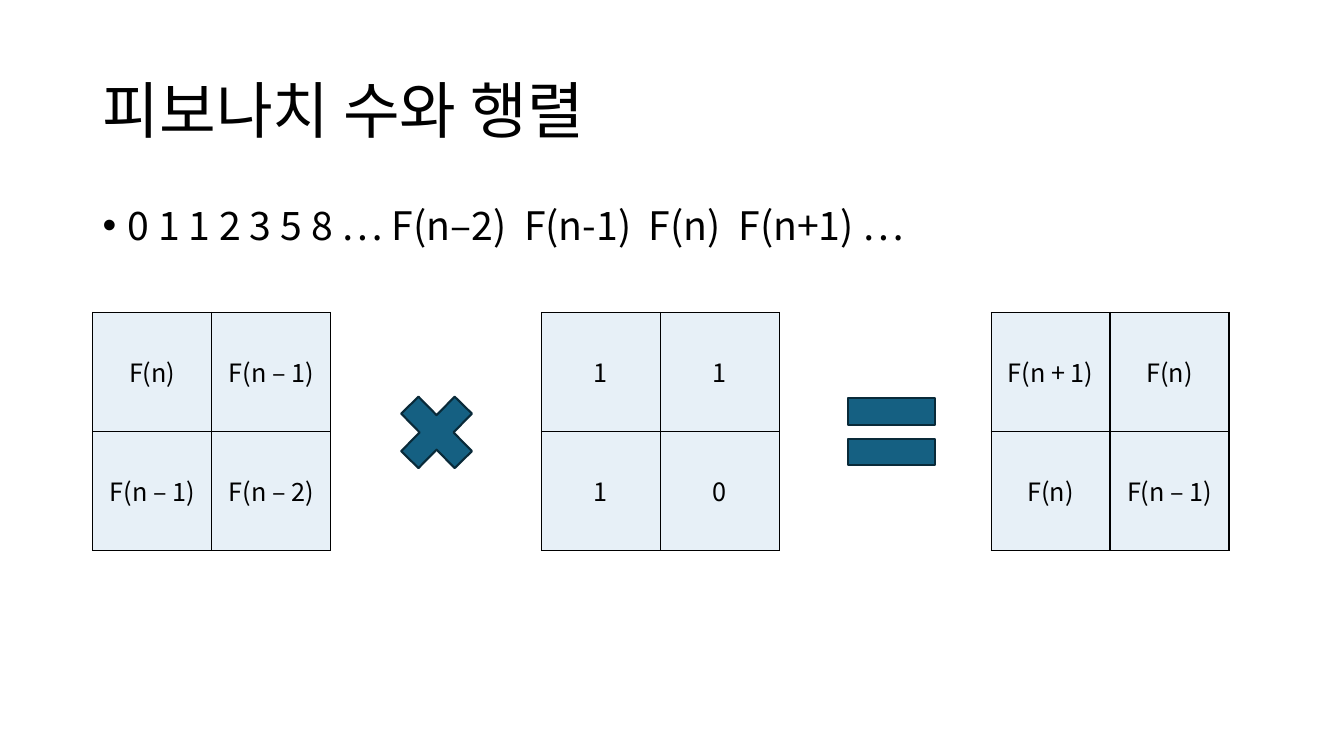
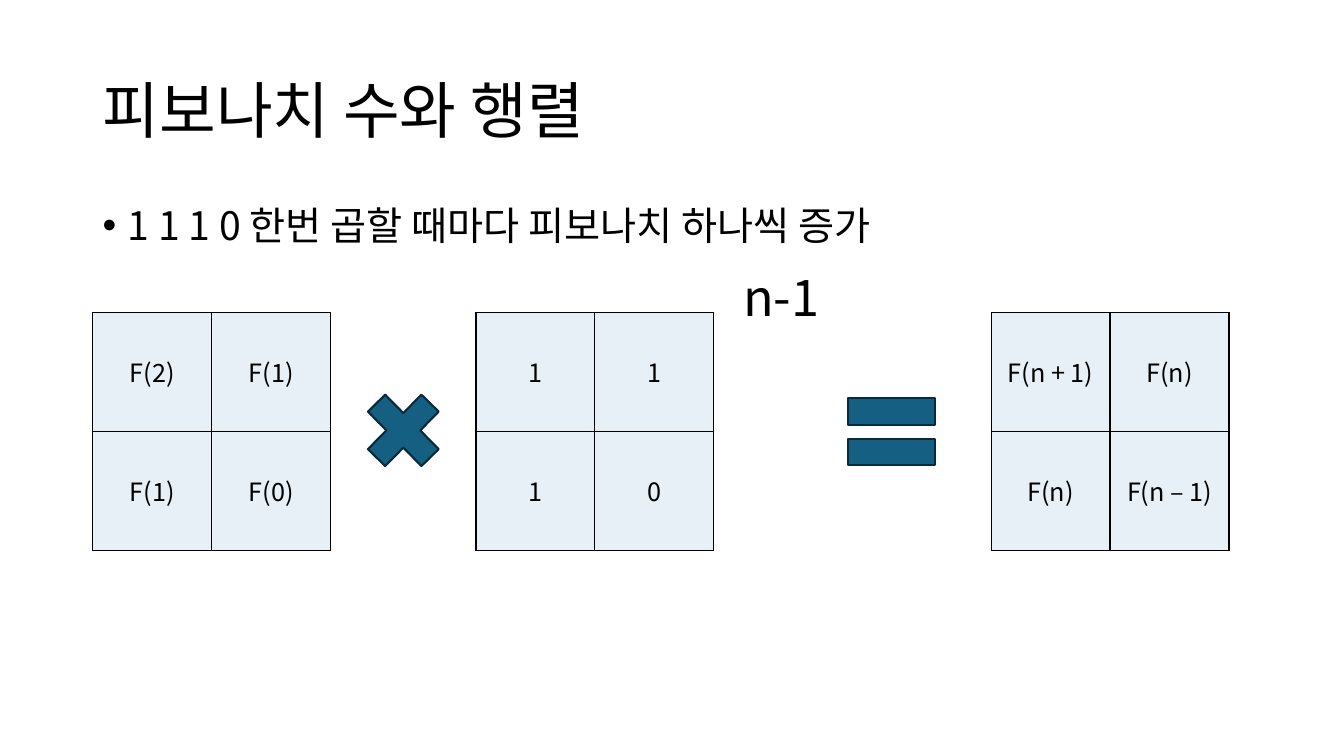
import pptx
import pptx.util
import pptx.dml.color
import pptx.enum.shapes
import pptx.enum.text
import pptx.oxml.ns
import lxml.etree
from dataclasses import dataclass

PX = 9144
SHAPE = pptx.enum.shapes.MSO_SHAPE
ANCHOR = pptx.enum.text.MSO_ANCHOR
ALIGN = pptx.enum.text.PP_ALIGN


@dataclass(frozen=True)
class Theme:
    font: str = "Noto Sans CJK KR"
    text: str = "000000"
    border: str = "000000"
    cell: str = "E7F0F7"
    operator: str = "156082"
    operator_line: str = "092A39"
    title_size: int = 44
    power_size: int = 36
    body_size: int = 28
    cell_size: int = 18


THEME = Theme()
TITLE = "피보나치 수와 행렬"
LEFT, CONTENT_W = 92, 1150
MATRIX_Y, CELL = 310, 118
RESULT_X = 983
Q = [["1", "1"], ["1", "0"]]
RESULT = [["F(n + 1)", "F(n)"], ["F(n)", "F(n – 1)"]]


def px(*lengths):
    return [pptx.util.Emu(n * PX) for n in lengths]


def rgb(color):
    return pptx.dml.color.RGBColor.from_string(color)


def sub(parent, tag, **attrs):
    return lxml.etree.SubElement(parent, pptx.oxml.ns.qn(tag), attrs)


def add_run(p, text, size):
    r = p.add_run()
    r.text = text
    r.font.name = THEME.font
    r.font.size = pptx.util.Pt(size)
    r.font.color.rgb = rgb(THEME.text)
    sub(r.font._element, "a:ea", typeface=THEME.font)


def add_text(s, box, text, size, anchor=ANCHOR.TOP):
    sp = s.shapes.add_textbox(*px(*box))
    tf = sp.text_frame
    tf.word_wrap = True
    tf.vertical_anchor = anchor
    p = tf.paragraphs[0]
    add_run(p, text, size)
    return tf, p


def add_title(s, text):
    tf, p = add_text(s, (LEFT, 40, CONTENT_W, 145), text, THEME.title_size, ANCHOR.MIDDLE)
    p.line_spacing = 0.9


def add_bullet(s, text):
    tf, p = add_text(s, (LEFT, 200, CONTENT_W, 476), text, THEME.body_size)
    p.line_spacing = 0.9
    p.space_before = pptx.util.Pt(10)
    pPr = p._p.get_or_add_pPr()
    indent = 25 * PX
    pPr.set("marL", str(indent))
    pPr.set("indent", str(-indent))
    sub(pPr, "a:buFont", typeface="Arial")
    sub(pPr, "a:buChar", char="•")


def add_power(s, text):
    tf, p = add_text(s, (726, 259, 98, 71), text, THEME.power_size)
    tf.word_wrap = False
    tf.auto_size = pptx.enum.text.MSO_AUTO_SIZE.SHAPE_TO_FIT_TEXT
    p.alignment = ALIGN.CENTER


def set_borders(cell):
    tcPr = cell._tc.get_or_add_tcPr()
    for i, side in enumerate("LRTB"):
        ln = sub(tcPr, f"a:ln{side}", w=str(pptx.util.Pt(1)))
        sub(sub(ln, "a:solidFill"), "a:srgbClr", val=THEME.border)
        tcPr.insert(i, ln)


def add_matrix(s, x, rows):
    n_rows, n_cols = len(rows), len(rows[0])
    box = px(x, MATRIX_Y, CELL * n_cols, CELL * n_rows)
    table = s.shapes.add_table(n_rows, n_cols, *box).table
    table.first_row = table.horz_banding = False
    for i, row in enumerate(rows):
        for j, text in enumerate(row):
            cell = table.cell(i, j)
            cell.fill.solid()
            cell.fill.fore_color.rgb = rgb(THEME.cell)
            cell.vertical_anchor = ANCHOR.MIDDLE
            set_borders(cell)
            p = cell.text_frame.paragraphs[0]
            p.alignment = ALIGN.CENTER
            add_run(p, text, THEME.cell_size)


def add_operator(s, kind, box):
    sp = s.shapes.add_shape(kind, *px(*box))
    sp.shadow.inherit = False
    sp.fill.solid()
    sp.fill.fore_color.rgb = rgb(THEME.operator)
    sp.line.color.rgb = rgb(THEME.operator_line)
    sp.line.width = pptx.util.Pt(1.5)


def add_equation_slide(prs, bullet, start, q_x, times_at):
    s = prs.slides.add_slide(prs.slide_layouts[6])
    add_title(s, TITLE)
    for x, rows in ((LEFT, start), (q_x, Q), (RESULT_X, RESULT)):
        add_matrix(s, x, rows)
    add_operator(s, SHAPE.MATH_MULTIPLY, (*times_at, 102, 104))
    add_operator(s, SHAPE.MATH_EQUAL, (826, 372, 117, 113))
    add_bullet(s, bullet)
    return s


def main():
    prs = pptx.Presentation()
    prs.slide_width, prs.slide_height = px(1333, 750)
    add_equation_slide(
        prs,
        "0 1 1 2 3 5 8 … F(n–2)  F(n-1)  F(n)  F(n+1) …",
        [["F(n)", "F(n – 1)"], ["F(n – 1)", "F(n – 2)"]],
        537,
        (382, 377),
    )
    s = add_equation_slide(
        prs,
        "1 1 1 0 한번 곱할 때마다 피보나치 하나씩 증가",
        [["F(2)", "F(1)"], ["F(1)", "F(0)"]],
        472,
        (349, 375),
    )
    add_power(s, "n-1")
    prs.save("out.pptx")


if __name__ == "__main__":
    main()
